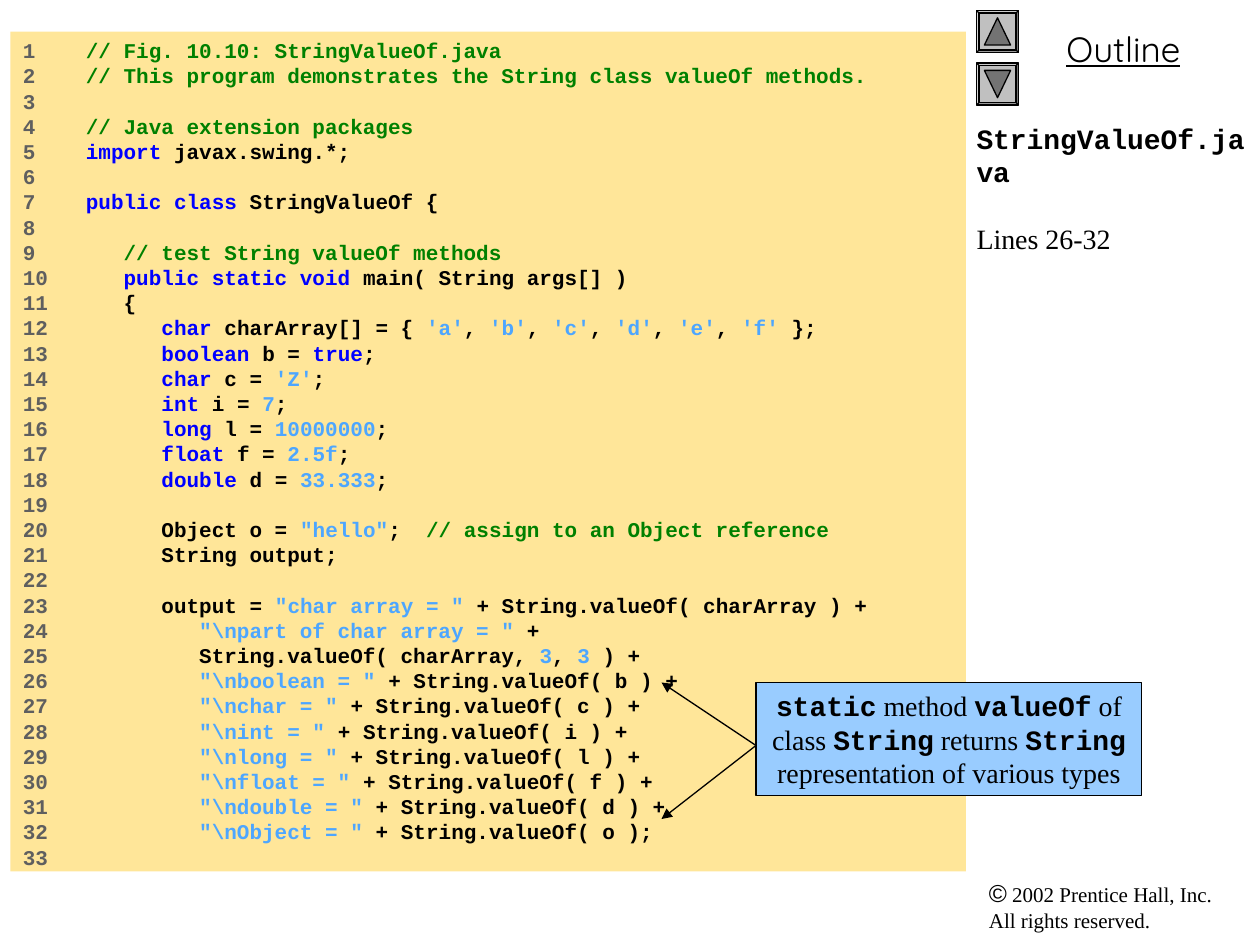
from lxml import etree
from pptx import Presentation
from pptx.dml import color
from pptx.enum import shapes, text
from pptx.oxml import ns
from pptx.util import Pt

MONO, SERIF = "Courier New", "Times New Roman"
BLACK, GRAY = "000000", "5F5F5F"
# First letter of each piece: g comment, k keyword, v literal, p plain.
HUES = {"g": "008000", "k": "0000FF", "v": "4DA6FF", "p": BLACK}
CODE = (
    "g// Fig. 10.10: StringValueOf.java",
    "g// This program demonstrates the String class valueOf methods.",
    "",
    "g// Java extension packages",
    "kimport|p javax.swing.*;",
    "",
    "kpublic class|p StringValueOf {",
    "",
    "g   // test String valueOf methods",
    "k   public static void|p main( String args[] )",
    "p   {",
    "k      char|p charArray[] = { |v'a'|p, |v'b'|p, |v'c'|p, |v'd'|p, |v'e'|p, |v'f'|p };",
    "k      boolean|p b = |ktrue|p;",
    "k      char|p c = |v'Z'|p;",
    "k      int|p i = |v7|p;",
    "k      long|p l = |v10000000|p;",
    "k      float|p f = |v2.5f|p;",
    "k      double|p d = |v33.333|p;",
    "",
    'p      Object o = |v"hello"|p;  |g// assign to an Object reference',
    "p      String output;",
    "",
    'p      output = |v"char array = "|p + String.valueOf( charArray ) +',
    r'v         "\npart of char array = "|p +',
    "p         String.valueOf( charArray, |v3|p, |v3|p ) +",
    r'v         "\nboolean = "|p + String.valueOf( b ) +',
    r'v         "\nchar = "|p + String.valueOf( c ) +',
    r'v         "\nint = "|p + String.valueOf( i ) +',
    r'v         "\nlong = "|p + String.valueOf( l ) +',
    r'v         "\nfloat = "|p + String.valueOf( f ) +',
    r'v         "\ndouble = "|p + String.valueOf( d ) +',
    r'v         "\nObject = "|p + String.valueOf( o );',
    "",
)


def rgb(hue):
    return color.RGBColor.from_string(hue)


def add_run(para, words, size, face=SERIF, hue=BLACK, bold=False):
    run = para.add_run()
    run.text = words
    font = run.font
    font.size, font.name, font.bold = Pt(size), face, bold
    font.color.rgb = rgb(hue)
    return run


def set_frame(shape, left=7.2):
    frame = shape.text_frame
    frame.word_wrap = True
    frame.vertical_anchor = text.MSO_ANCHOR.TOP
    frame.margin_left, frame.margin_right = Pt(left), Pt(7.2)
    frame.margin_top = frame.margin_bottom = Pt(3.6)
    return frame


def add_box(slide, x, y, w, h, left=7.2):
    box = slide.shapes.add_textbox(Pt(x), Pt(y), Pt(w), Pt(h))
    return set_frame(box, left)


def add_shape(slide, kind, x, y, w, h, fill, line=None):
    shape = slide.shapes.add_shape(kind, Pt(x), Pt(y), Pt(w), Pt(h))
    shape.shadow.inherit = False
    shape.fill.solid()
    shape.fill.fore_color.rgb = rgb(fill)
    if line:
        shape.line.color.rgb = rgb(line)
        shape.line.width = Pt(0.75)
    else:
        shape.line.fill.background()
    return shape


def add_arrow(slide, x1, y1, x2, y2):
    arrow = slide.shapes.add_connector(
        shapes.MSO_CONNECTOR.STRAIGHT, Pt(x1), Pt(y1), Pt(x2), Pt(y2))
    arrow.line.color.rgb = rgb(BLACK)
    arrow.line.width = Pt(0.75)
    line = arrow._element.spPr.find(ns.qn("a:ln"))
    etree.SubElement(line, ns.qn("a:tailEnd"), type="triangle")
    etree.SubElement(arrow._element.spPr, ns.qn("a:effectLst"))


def add_button(slide, y, turn):
    kind = shapes.MSO_SHAPE
    bevel = add_shape(slide, kind.BEVEL, 558, y, 24, 24, "C0C0C0", BLACK)
    bevel.adjustments[0] = 0.06
    mark = add_shape(slide, kind.ISOSCELES_TRIANGLE, 562.5, y + 4.2, 15, 15.6,
                     "737373", BLACK)
    mark.rotation = turn


def add_code(slide):
    panel = add_shape(slide, shapes.MSO_SHAPE.RECTANGLE, 6, 18, 546, 480, "FFE699")
    frame = set_frame(panel)
    for num, line in enumerate(CODE, 1):
        para = frame.paragraphs[0] if num == 1 else frame.add_paragraph()
        para.alignment = text.PP_ALIGN.LEFT
        para.line_spacing = Pt(14.4)
        label = str(num).ljust(5) if line else str(num)
        add_run(para, label, 12, MONO, GRAY, True)
        for piece in line.split("|") if line else []:
            add_run(para, piece[1:], 12, MONO, HUES[piece[0]], True)


def add_title(slide):
    frame = add_box(slide, 558, 66, 162, 432, 0)
    name, lines = frame.paragraphs[0], frame.add_paragraph()
    name.line_spacing = lines.line_spacing = Pt(19.1)
    add_run(name, "StringValueOf.java", 16, MONO, bold=True)
    lines.space_before = Pt(19.1)
    add_run(lines, "Lines 26-32", 16)


def add_note(slide):
    for tip in (390, 468):
        add_arrow(slide, 432, 426, 378, tip)
    box = add_shape(slide, shapes.MSO_SHAPE.RECTANGLE, 432, 390, 220.5, 64.8,
                    "99CCFF", BLACK)
    para = set_frame(box).paragraphs[0]
    para.alignment = text.PP_ALIGN.CENTER
    words = ("static", " method ", "valueOf", " of class ", "String",
             " returns ", "String", " representation of various types")
    for num, word in enumerate(words):
        term = num % 2 == 0
        add_run(para, word, 16, MONO if term else SERIF, bold=term)


def add_margin(slide):
    para = add_box(slide, 558, 498, 156, 39).paragraphs[0]
    add_run(para, "©", 14, "Arial")
    add_run(para, " 2002 Prentice Hall, Inc.", 12)
    para.add_line_break()
    add_run(para, "All rights reserved.", 12)
    para = add_box(slide, 564, 12, 156, 32).paragraphs[0]
    para.alignment = text.PP_ALIGN.CENTER
    add_run(para, "Outline", 20, "Quicksand").font.underline = True
    add_button(slide, 6, 0)
    add_button(slide, 36, 180)


def main():
    deck = Presentation()
    deck.slide_width, deck.slide_height = Pt(720), Pt(540)
    slide = deck.slides.add_slide(deck.slide_layouts[6])
    add_margin(slide)
    add_title(slide)
    add_code(slide)
    add_note(slide)
    deck.save("out.pptx")


if __name__ == "__main__":
    main()
